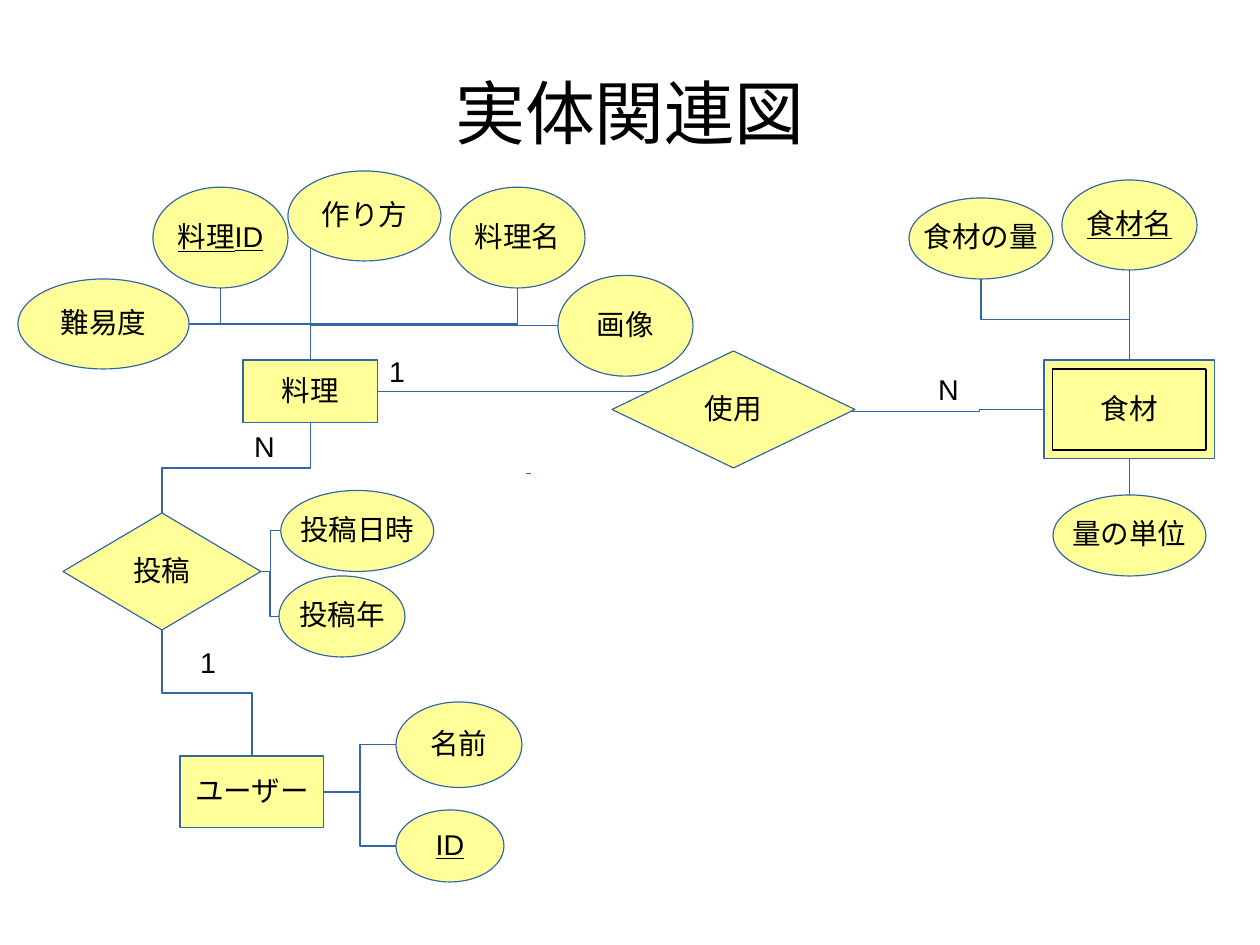
from pptx import Presentation
from pptx.dml.color import RGBColor
from pptx.enum.shapes import MSO_CONNECTOR as LINK, MSO_SHAPE as FORM
from pptx.enum.text import MSO_ANCHOR as ANCHOR, PP_ALIGN as ALIGN
from pptx.oxml.ns import qn
from pptx.util import Cm, Inches, Pt
from lxml.etree import SubElement

COLS, ROWS = 140, 105
INK, EDGE, FILL = "000000", "3465A4", "FFFF99"

deck = Presentation()
deck.slide_width, deck.slide_height = Cm(28), Cm(21)
slide = deck.slides.add_slide(deck.slide_layouts[6])
shapes = slide.shapes


def cell(*spots):
    return [round(spot * deck.slide_width / COLS) for spot in spots]


def color(code):
    return RGBColor.from_string(code)


def write(shape, text, size=18, align=ALIGN.CENTER, anchor=ANCHOR.MIDDLE,
          under=False, wrap=False, pad=(0.1, 0.05)):
    frame = shape.text_frame
    frame.word_wrap = wrap
    frame.vertical_anchor = anchor
    frame.margin_left = frame.margin_right = Inches(pad[0])
    frame.margin_top = frame.margin_bottom = Inches(pad[1])
    para = frame.paragraphs[0]
    para.alignment = align
    para.line_spacing = 0.93
    run = para.add_run()
    run.text = text
    run.font.name, run.font.size = "Arial", Pt(size)
    run.font.color.rgb = color(INK)
    run.font.underline = under or None


def label(text, x, y, wide=6, high=8.6, **style):
    area = shapes.add_textbox(*cell(x, y, wide, high))
    write(area, text, **style)


def mark(text, x, y):
    label(text, x, y, align=ALIGN.LEFT, anchor=ANCHOR.TOP, wrap=True)


def node(form, text, box, x, y, wide, high, under=False):
    left, top = box[0] + x, box[1] + y
    shape = shapes.add_shape(form, *cell(left, top, wide, high))
    shape.shadow.inherit = False
    shape.fill.solid()
    shape.fill.fore_color.rgb = color(FILL)
    shape.line.color.rgb = color(EDGE)
    shape.line.width = Pt(0.75)
    write(shape, text, under=under)
    mid, row = left + wide / 2, top + high / 2
    return {"left": (left, row), "right": (left + wide, row),
            "top": (mid, top), "bottom": (mid, top + high)}


def wire(start, end, turn="", bend=None, ink=EDGE):
    (ax, ay), (bx, by) = start, end
    if turn == "down":
        mx, my = (ax + bx) / 2, (ay + by) / 2
        dx, dy = (bx - ax) / 2, (by - ay) / 2
        ax, ay, bx, by = mx - dy, my + dx, mx + dy, my - dx
    kind = LINK.ELBOW if turn else LINK.STRAIGHT
    line = shapes.add_connector(kind, *cell(ax, ay, bx, by))
    line.line.color.rgb = color(ink)
    line.line.width = Pt(0.75)
    props = line._element.spPr
    SubElement(props, qn("a:effectLst"))
    geom = props.find(qn("a:prstGeom"))
    if turn == "down":
        props.find(qn("a:xfrm")).set("rot", "5400000")
    if turn == "corner":
        geom.set("prst", "bentConnector2")
    if bend:
        guide = SubElement(geom.find(qn("a:avLst")), qn("a:gd"))
        guide.set("name", "adj1")
        guide.set("fmla", f"val {round(bend * 100000)}")


def dish(box):
    core = node(FORM.RECTANGLE, "料理", box, 25, 21, 15, 7)
    name = node(FORM.OVAL, "料理名", box, 48, 1.8, 15, 11.2)
    node(FORM.OVAL, "作り方", box, 30, 0, 17, 10)
    level = node(FORM.OVAL, "難易度", box, 0, 12, 19, 10)
    key = node(FORM.OVAL, "料理ID", box, 15, 1.8, 15, 11.2, under=True)
    photo = node(FORM.OVAL, "画像", box, 60, 11.6, 15, 11.2)
    top = core["top"]
    wire(name["bottom"], top, "down")
    wire(key["bottom"], top, "down")
    wire(level["right"], top, "corner")
    wire(photo["left"], top, "corner")
    wire((top[0], box[1] + 8.5), top)
    return core


def food(box):
    core = node(FORM.RECTANGLE, "食材", box, 15, 20, 19, 11)
    count = node(FORM.OVAL, "食材の量", box, 0, 2, 16, 9)
    name = node(FORM.OVAL, "食材名", box, 17, 0, 15, 10, under=True)
    unit = node(FORM.OVAL, "量の単位", box, 16, 35, 17, 9)
    wire(count["bottom"], core["top"], "down")
    wire(name["bottom"], core["top"])
    wire(unit["top"], core["bottom"])
    left, top = box[0] + 15.9, box[1] + 21
    rim = [(left, top), (left + 17.1, top), (left + 17.1, top + 9), (left, top + 9)]
    for start, end in zip(rim, rim[1:] + rim[:1]):
        wire(start, end, ink=INK)
    return core


def post(box):
    core = node(FORM.DIAMOND, "投稿", box, 0, 3, 22, 13)
    date = node(FORM.OVAL, "投稿日時", box, 24.2, 0.5, 17, 9)
    year = node(FORM.OVAL, "投稿年", box, 24, 10, 14, 9)
    user = node(FORM.RECTANGLE, "ユーザー", box, 13, 30, 16, 8)
    name = node(FORM.OVAL, "名前", box, 37, 24, 14, 9.5)
    key = node(FORM.OVAL, "ID", box, 37, 36, 12, 8, under=True)
    for hub, parts in ((core, (date, year)), (user, (name, key))):
        for part in parts:
            wire(hub["right"], part["left"], "side")
    wire(core["bottom"], user["top"], "down")
    mark("1", box[0] + 14, box[1] + 17.4)
    return core


def usage(box, meal, stock):
    joint = (box[0] + 37, box[1] + 6.7)
    wire(meal["right"], joint, "side", bend=0.52)
    wire(joint, stock["left"], "side", bend=0.35)
    node(FORM.DIAMOND, "使用", box, 0, 0, 27, 13)
    mark("1", box[0] - 26, box[1])
    mark("N", box[0] + 35, box[1] + 2)
    wire((box[0] - 9.6, box[1] + 13.6), (box[0] - 9, box[1] + 13.6))


label("実体関連図", 7, 4.2, COLS - 14, ROWS / 6, size=44, wrap=True, pad=(0, 0))
meal = dish((2, 19))
stock = food((101, 20))
entry = post((7, 54))
usage((68, 39), meal, stock)
wire(meal["bottom"], entry["top"], "down")
mark("N", 27, 47.4)

deck.save("out.pptx")
